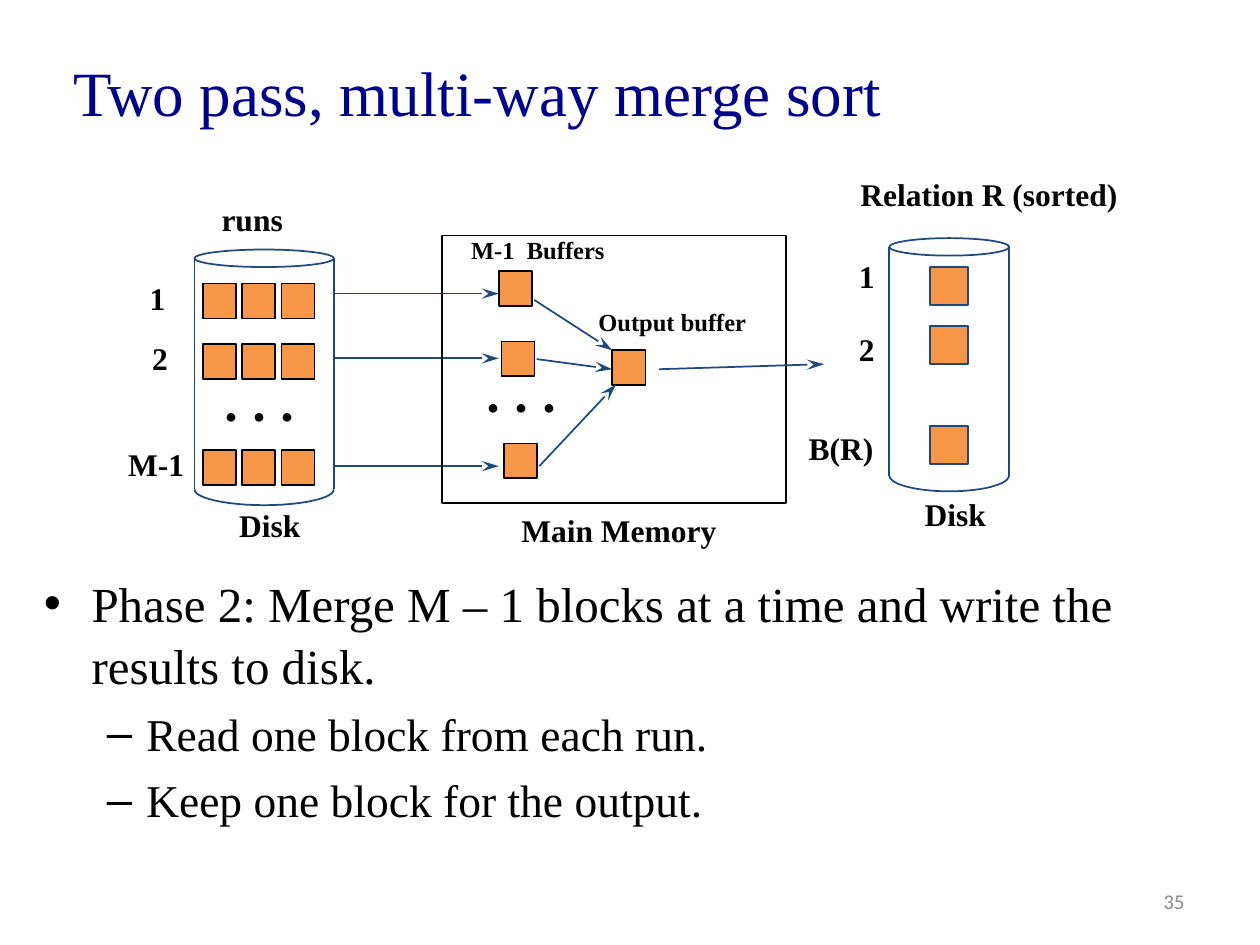
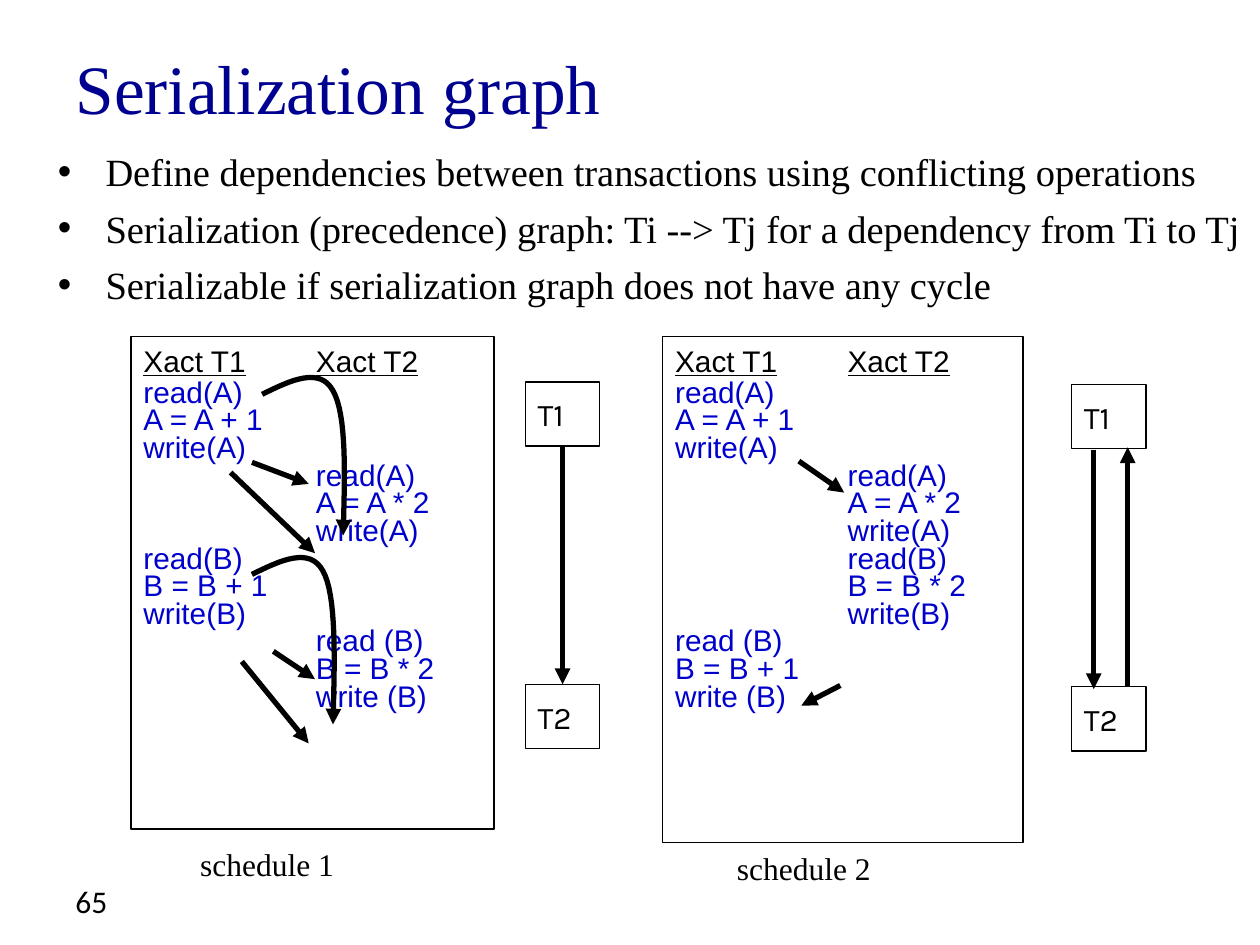
from math import cos, pi, sin

from lxml import etree
from pptx import Presentation
from pptx.dml.color import RGBColor
from pptx.enum.shapes import MSO_CONNECTOR, MSO_SHAPE
from pptx.enum.text import MSO_ANCHOR, MSO_AUTO_SIZE, PP_ALIGN
from pptx.oxml.ns import qn
from pptx.util import Pt

STRAIGHT = MSO_CONNECTOR.STRAIGHT
RECT, OVAL = MSO_SHAPE.RECTANGLE, MSO_SHAPE.OVAL
MIDDLE, TOP = MSO_ANCHOR.MIDDLE, MSO_ANCHOR.TOP
LEFT, RIGHT = PP_ALIGN.LEFT, PP_ALIGN.RIGHT
NO_FIT, GROW = MSO_AUTO_SIZE.NONE, MSO_AUTO_SIZE.SHAPE_TO_FIT_TEXT

COLORS = {
    "title": "000090",
    "text": "000000",
    "number": "8C8C8C",
    "block": "F79646",
    "disk": "1F497D",
    "code": "0000CC",
}
SERIF = "Times New Roman"
LABEL = {"name": SERIF, "size": Pt(18), "bold": True}
SMALL_LABEL = {**LABEL, "size": Pt(14)}
CAPTION = {"name": SERIF, "size": Pt(18)}
DOTS = {"name": "TeX Gyre Pagella", "size": Pt(32), "bold": True}
CODE = {"name": "Arial", "size": Pt(17)}
NODE = {"name": "Karla", "size": Pt(18)}

BULLETS = [("•", 27.2, -27.2), ("–", 58.5, -22.5)]  # sign, margin, indent
BLOCK_W, BLOCK_H = 18.9, 20
NODE_W, NODE_H = 42.5, 36.7
CODE_TAB = 98.6


def rgb(name):
    return RGBColor.from_string(COLORS[name])


def format_font(font, style, color="text"):
    for attribute, value in style.items():
        setattr(font, attribute, value)
    font.color.rgb = rgb(color)


def points(*values):
    return [Pt(value) for value in values]


def set_indent(paragraph, margin, indent):
    properties = paragraph._p.get_or_add_pPr()
    properties.set("marL", str(Pt(margin)))
    properties.set("indent", str(Pt(indent)))
    return properties


def add_title(slide, text, size, box):
    title = slide.shapes.title
    title.left, title.top, title.width, title.height = points(*box)
    frame = title.text_frame
    frame.text = text
    frame.auto_size, frame.vertical_anchor = NO_FIT, MIDDLE
    frame.paragraphs[0].alignment = LEFT
    format_font(frame.paragraphs[0].font, {"name": SERIF, "size": Pt(size)}, "title")


def add_bullets(slide, box, items):
    """Add a bulleted list; items are (level, size, text)."""
    frame = slide.shapes.add_textbox(*points(*box)).text_frame
    frame.word_wrap, frame.margin_top = True, 0
    for i, (level, size, text) in enumerate(items):
        paragraph = frame.add_paragraph() if i else frame.paragraphs[0]
        sign, margin, indent = BULLETS[level]
        paragraph.level = level
        paragraph.line_spacing = 1.05
        paragraph.space_before = Pt(size * 0.2 if i else 0)
        properties = set_indent(paragraph, margin, indent)
        etree.SubElement(properties, qn("a:buFont")).set("typeface", "Arial")
        etree.SubElement(properties, qn("a:buChar")).set("char", sign)
        paragraph.text = text
        format_font(paragraph.font, {"name": SERIF, "size": Pt(size)})


def add_number(slide, text, left, size, align, color):
    frame = slide.shapes.add_textbox(*points(left, 500.4, 167.8, 28.8)).text_frame
    frame.word_wrap, frame.vertical_anchor = True, MIDDLE
    paragraph = frame.paragraphs[0]
    paragraph.text, paragraph.alignment = text, align
    format_font(paragraph.font, {"name": "Calibri", "size": Pt(size)}, color)


def add_label(slide, text, left, top, width, style=LABEL, height=28.8):
    frame = slide.shapes.add_textbox(*points(left, top, width, height)).text_frame
    frame.word_wrap, frame.auto_size = False, GROW
    frame.paragraphs[0].text = text
    format_font(frame.paragraphs[0].font, style)


def outline(shape, line, width, fill=None):
    shape.shadow.inherit = False
    if fill:
        shape.fill.solid()
        shape.fill.fore_color.rgb = rgb(fill)
    else:
        shape.fill.background()
    shape.line.color.rgb = rgb(line)
    shape.line.width = Pt(width)


def add_box(slide, kind, box, line="text", width=1, fill=None):
    shape = slide.shapes.add_shape(kind, *points(*box))
    outline(shape, line, width, fill)
    return shape


def add_head(shape, head, length):
    tail = etree.SubElement(shape._element.spPr.find(qn("a:ln")), qn("a:tailEnd"))
    for key, value in {"type": head, "w": "med", "len": length}.items():
        tail.set(key, value)


def add_line(slide, ends, color, width, head=None, length="med"):
    connector = slide.shapes.add_connector(STRAIGHT, *points(*ends))
    connector.line.color.rgb = rgb(color)
    connector.line.width = Pt(width)
    if head:
        add_head(connector, head, length)
    etree.SubElement(connector._element.spPr, qn("a:effectLst"))


def add_flow(slide, *ends):
    add_line(slide, ends, "disk", 1, "stealth", "lg")


def add_dependency(slide, *ends):
    add_line(slide, ends, "text", 3, "triangle")


def add_path(slide, path_points, color, width):
    start, *rest = [points(*point) for point in path_points]
    builder = slide.shapes.build_freeform(*start, scale=1.0)
    builder.add_line_segments(rest, close=False)
    shape = builder.convert_to_shape()
    outline(shape, color, width)
    return shape


def bezier(controls, steps=16):
    """Return the points of a cubic curve after its start."""
    curve = []
    for step in range(1, steps + 1):
        t = step / steps
        weights = ((1 - t) ** 3, 3 * t * (1 - t) ** 2, 3 * t * t * (1 - t), t ** 3)
        curve.append([sum(w * c[axis] for w, c in zip(weights, controls))
                      for axis in (0, 1)])
    return curve


def add_curved_dependency(slide, left, top, drop):
    """Draw the arched arrow; drop is its end below the start."""
    start, crest, end = (left, top), (left + 40.5, top - 2.1), (left + 46.3, top + drop)
    rise = [start, (left + 16.6, top - 8.3), (left + 33, top - 15.8), crest]
    fall = [crest, (left + 48.4, top + 11.8), (left + 47.3, top + drop * 0.57), end]
    arrow = add_path(slide, [start] + bezier(rise) + bezier(fall), "text", 3)
    add_head(arrow, "triangle", "med")


def add_disk(slide, left, top, width, height):
    lid, bowl = 10, 9
    base = top + height - bowl
    add_box(slide, OVAL, (left, top, width, lid), "disk")
    for side in (left, left + width):
        add_line(slide, (side, top + lid / 2, side, base), "disk", 1)
    radius = width / 2
    arc = [(left + radius + radius * cos(pi * i / 24), base + bowl * sin(pi * i / 24))
           for i in range(25)]
    add_path(slide, arc, "disk", 1)


def add_block(slide, left, top):
    add_box(slide, RECT, (left, top, BLOCK_W, BLOCK_H), fill="block")


def add_schedule(slide, box, code):
    frame = add_box(slide, RECT, box, width=0.75).text_frame
    frame.word_wrap, frame.vertical_anchor = True, TOP
    header = frame.paragraphs[0]
    for text, underline in (("Xact T1", True), ("\t", False), ("Xact T2", True)):
        run = header.add_run()
        run.text = text
        format_font(run.font, {**CODE, "underline": underline})
    for i, line in enumerate(code):
        paragraph = frame.add_paragraph()
        paragraph.line_spacing = Pt(15.8)
        paragraph.space_before = Pt(0 if i else 1.9)
        run = paragraph.add_run()
        run.text = line
        format_font(run.font, CODE, "code")
    for paragraph in frame.paragraphs:
        paragraph.alignment = LEFT
        set_indent(paragraph, CODE_TAB, -CODE_TAB)


def add_graph_nodes(slide, left, top):
    for i, name in enumerate(("T1", "T2")):
        box = (left, top + 172.8 * i, NODE_W, NODE_H)
        frame = add_box(slide, RECT, box, width=0.75).text_frame
        frame.word_wrap, frame.vertical_anchor = False, MIDDLE
        frame.paragraphs[0].text = name
        frame.paragraphs[0].alignment = LEFT
        format_font(frame.paragraphs[0].font, NODE)


def build_merge_sort(slide):
    add_title(slide, "Two pass, multi-way merge sort", 36, (34.6, 13, 687.6, 77.8))
    add_bullets(slide, (18, 326, 687.6, 150), [
        (0, 28, "Phase 2: Merge M – 1 blocks at a time and write the results to disk."),
        (1, 26, "Read one block from each run."),
        (1, 26, "Keep one block for the output."),
    ])
    add_number(slide, "35", 516.2, 12, RIGHT, "number")

    add_disk(slide, 111.2, 142.6, 79.6, 146.1)
    for run_top in (162, 196.6, 257):
        for column in range(3):
            add_block(slide, 115.9 + 22.5 * column, run_top)
    for flow_y in (167.8, 204.8, 266.4):
        add_flow(slide, 190.8, flow_y, 285.1, flow_y)

    add_box(slide, RECT, (252.7, 134.6, 196.6, 152.7))
    for buffer in ((285.1, 154.8), (286.6, 195.1), (288, 253.4), (349.9, 200.2)):
        add_block(slide, *buffer)
    add_flow(slide, 305.3, 171.4, 349.9, 200.2)
    add_flow(slide, 306.7, 205.2, 349.9, 211)
    add_flow(slide, 308.2, 266.4, 352.1, 219.6)
    add_flow(slide, 376.6, 211, 470.9, 208.1)

    add_disk(slide, 508.2, 136.1, 68.4, 144.7)
    for sorted_top in (152.6, 186.5, 243.4):
        add_box(slide, RECT, (531.4, sorted_top, 21.6, 21.6), "disk", fill="block")

    for label in (
        ("runs", 119.5, 110.9, 49.7), ("Disk", 129.6, 285.8, 49.7),
        ("1", 78.5, 156.2, 23.8), ("2", 79.9, 190.1, 23.8), ("M-1", 66.2, 250.6, 46.8),
        ("Main Memory", 290.9, 288.7, 127.4), ("Disk", 521.3, 279.4, 49.7),
        ("Relation R (sorted)", 484.6, 96.5, 162.7),
        ("1", 483.8, 143.3, 23.8), ("2", 483.8, 185, 23.8), ("B(R)", 455, 241.9, 51.8),
    ):
        add_label(slide, *label)
    add_label(slide, "M-1  Buffers", 262.1, 131, 91.4, SMALL_LABEL, 24.5)
    add_label(slide, "Output buffer", 334.8, 172.1, 99.4, SMALL_LABEL, 24.5)
    for left, top in ((121, 205.2), (270.7, 200.2)):
        add_label(slide, ". . .", left, top, 54.7, DOTS, 46)


def build_serialization(slide):
    add_title(slide, "Serialization graph", 39.6, (36, 21.6, 648, 56.2))
    add_bullets(slide, (26, 83.5, 694, 110), [
        (0, 22, "Define dependencies between transactions using conflicting operations"),
        (0, 22, "Serialization (precedence) graph: Ti --> Tj for a dependency from Ti to Tj"),
        (0, 22, "Serializable if serialization graph does not have any cycle"),
    ])
    add_number(slide, "65", 36, 18, LEFT, "text")

    first_steps = ["read(A)", "A = A + 1", "write(A)",
                   "\tread(A)", "\tA = A * 2", "\twrite(A)"]
    add_schedule(slide, (74.9, 192.2, 207.4, 281.5), first_steps + [
        "read(B)", "B = B + 1", "write(B)", "\tread (B)", "\tB = B * 2", "\twrite (B)"])
    add_label(slide, "schedule 1", 107.3, 479.5, 116.6, CAPTION, 36)
    add_dependency(slide, 144, 264.2, 176.4, 276.5)
    add_dependency(slide, 156.2, 372.2, 180, 388.1)
    add_dependency(slide, 131.8, 270, 180, 316.1)
    add_dependency(slide, 138.2, 378, 176.4, 424.8)
    add_curved_dependency(slide, 144, 328.3, 85.7)
    add_curved_dependency(slide, 149.8, 225.4, 80.6)
    add_graph_nodes(slide, 300.2, 218.2)
    add_dependency(slide, 321.5, 254.9, 321.5, 391)

    add_schedule(slide, (378.7, 192.2, 205.9, 289.4), first_steps + [
        "\tread(B)", "\tB = B * 2", "\twrite(B)", "read (B)", "B = B + 1", "write (B)"])
    add_label(slide, "schedule 2", 414, 481.7, 116.6, CAPTION, 36)
    add_dependency(slide, 456.5, 263.5, 482.4, 281.5)
    add_dependency(slide, 480.2, 391.7, 457.9, 403.2)
    add_graph_nodes(slide, 612.3, 219.6)
    add_dependency(slide, 644.4, 392.4, 644.4, 255.6)
    add_dependency(slide, 625, 257, 625, 393.8)


def main():
    deck = Presentation()
    deck.slide_width, deck.slide_height = points(720, 540)
    title_only = deck.slide_layouts[5]
    for build in (build_merge_sort, build_serialization):
        build(deck.slides.add_slide(title_only))
    deck.save("out.pptx")


if __name__ == "__main__":
    main()
